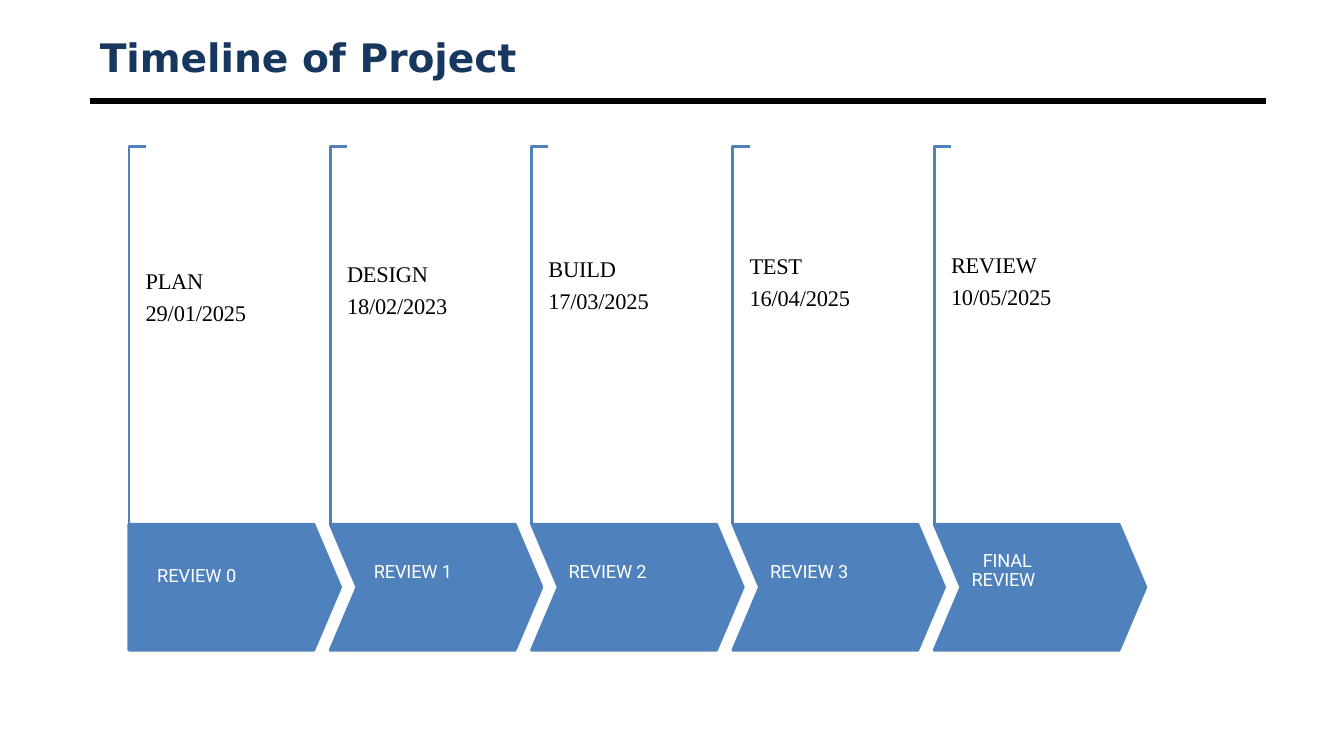
from lxml import etree
from pptx import Presentation
from pptx import util as u
from pptx.dml import color
from pptx.enum import shapes, text
from pptx.oxml import ns

COLOURS = {"title": "17375E", "rule": "000000", "step": "4F81BC",
           "date": "000000", "label": "FFFFFF"}

FIRST_LEFT, PITCH = 92.1, 143.8
BRACKET_TOP, BRACKET_LIP = 104.4, 12
ARROW_TOP, ARROW_WIDTH, ARROW_HEIGHT, ARROW_POINT = 374.4, 151.2, 90, 19.1

# phase, date, top, width and height of the date box, letter spacing;
# label runs with letter spacing, left, top, width and height of the label box
STEPS = [
    ("PLAN", "29/01/2025", (198, 107.3, 44.6), -0.2,
     [("REVIEW ", 0), ("0", -0.5)], (112.3, 403.9, 103, 28)),
    ("DESIGN", "18/02/2023", (193, 92.2, 82.8), -0.1,
     [("REVIEW ", -0.1), ("1", -0.5)], (267.1, 401.8, 86.4, 43.2)),
    ("BUILD", "17/03/2025", (189.4, 92.2, 76.3), -0.1,
     [("REVIEW ", -0.1), ("2", -0.5)], (406.1, 401.8, 92.2, 43.2)),
    ("TEST", "16/04/2025", (187.2, 92.2, 88.6), -0.2,
     [("REVIEW ", -0.1), ("3", -0.5)], (550.1, 401.8, 91.4, 43.9)),
    ("REVIEW", "10/05/2025", (186.5, 92.2, 100), -0.1,
     [("FINAL REVIEW", -0.1)], (694.1, 393.8, 90, 51.8)),
]


class SlideBuilder:
    def __init__(self, presentation):
        self.slide = presentation.slides.add_slide(presentation.slide_layouts[5])

    def rgb(self, name):
        return color.RGBColor.from_string(COLOURS[name])

    def add_run(self, paragraph, words, font, size, colour, spacing=0, bold=False):
        run = paragraph.add_run()
        run.text = words
        run.font.name = font
        run.font.size = u.Pt(size)
        run.font.bold = bold
        run.font.color.rgb = self.rgb(colour)
        if spacing:
            run._r.get_or_add_rPr().set("spc", str(round(spacing * 100)))

    def title(self, words, left, top, width, height):
        shape = self.slide.shapes.title
        shape.left, shape.top = u.Pt(left), u.Pt(top)
        shape.width, shape.height = u.Pt(width), u.Pt(height)
        frame = shape.text_frame
        frame.auto_size = text.MSO_AUTO_SIZE.NONE
        frame.vertical_anchor = text.MSO_ANCHOR.MIDDLE
        paragraph = frame.paragraphs[0]
        paragraph.alignment = text.PP_ALIGN.LEFT
        self.add_run(paragraph, words, "DejaVu Sans", 28, "title", bold=True)

    def rule(self, left, right, y, weight):
        line = self.slide.shapes.add_connector(
            shapes.MSO_CONNECTOR.STRAIGHT, u.Pt(left), u.Pt(y), u.Pt(right), u.Pt(y))
        line.line.color.rgb = self.rgb("rule")
        line.line.width = u.Pt(weight)
        etree.SubElement(line._element.spPr, ns.qn("a:effectLst"))

    def outline(self, shape):
        shape.shadow.inherit = False
        shape.line.color.rgb = self.rgb("step")
        shape.line.width = u.Pt(2)

    def bracket(self, left, top, bottom, lip):
        builder = self.slide.shapes.build_freeform(u.Pt(left + lip), u.Pt(top))
        builder.add_line_segments(
            [(u.Pt(left), u.Pt(top)), (u.Pt(left), u.Pt(bottom))], close=False)
        shape = builder.convert_to_shape()
        shape.fill.background()
        self.outline(shape)

    def arrow(self, kind, left):
        shape = self.slide.shapes.add_shape(
            kind, u.Pt(left), u.Pt(ARROW_TOP), u.Pt(ARROW_WIDTH), u.Pt(ARROW_HEIGHT))
        shape.adjustments[0] = ARROW_POINT / ARROW_HEIGHT
        shape.fill.solid()
        shape.fill.fore_color.rgb = self.rgb("step")
        self.outline(shape)

    def text_box(self, left, top, width, height):
        frame = self.slide.shapes.add_textbox(
            u.Pt(left), u.Pt(top), u.Pt(width), u.Pt(height)).text_frame
        frame.word_wrap = True
        frame.margin_left = frame.margin_right = 0
        frame.margin_top = frame.margin_bottom = 0
        return frame

    def phase(self, name, date, left, box, spacing):
        frame = self.text_box(left, *box)
        heading = frame.paragraphs[0]
        heading.line_spacing = u.Pt(12.3)
        self.add_run(heading, name, "Times New Roman", 16, "date", spacing)
        day = frame.add_paragraph()
        day.space_before = u.Pt(3.2)
        self.add_run(day, date, "Times New Roman", 16, "date", -0.1)

    def label(self, runs, box, line_spacing, space_before, indent):
        paragraph = self.text_box(*box).paragraphs[0]
        paragraph.line_spacing = line_spacing
        paragraph.space_before = u.Pt(space_before)
        paragraph._p.get_or_add_pPr().set("indent", str(u.Pt(indent)))
        for words, spacing in runs:
            self.add_run(paragraph, words, "Roboto", 13, "label", spacing)


def main():
    presentation = Presentation()
    presentation.slide_width, presentation.slide_height = u.Pt(960), u.Pt(540)
    builder = SlideBuilder(presentation)

    # Heading
    builder.rule(64.1, 904.3, 72, 4.5)
    builder.title("Timeline of Project", 64.1, 21.6, 840.2, 38.2)

    # Brackets and arrows
    lefts = [FIRST_LEFT + PITCH * index for index in range(len(STEPS))]
    for index, left in enumerate(lefts):
        kind = shapes.MSO_SHAPE.CHEVRON if index else shapes.MSO_SHAPE.PENTAGON
        builder.bracket(left, BRACKET_TOP, ARROW_TOP, BRACKET_LIP)
        builder.arrow(kind, left)

    # Phases with dates, and review labels
    last = len(STEPS) - 1
    for index, (name, date, box, spacing, runs, label_box) in enumerate(STEPS):
        builder.phase(name, date, lefts[index] + BRACKET_LIP, box, spacing)
        builder.label(runs, label_box,
                      line_spacing=0.9 if index else u.Pt(14.5),
                      space_before=0.8 if index else 0,
                      indent=7.9 if index == last else 0)

    presentation.save("out.pptx")


if __name__ == "__main__":
    main()
